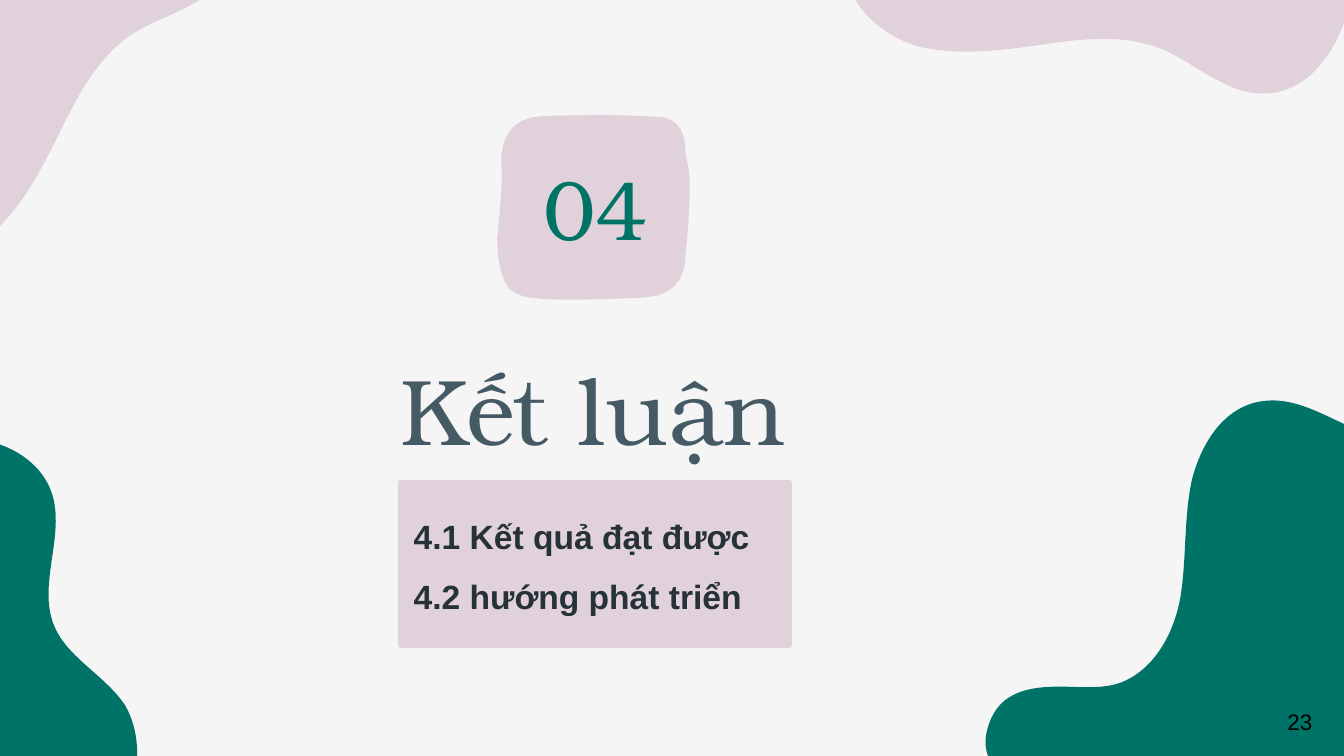
"""Build the closing section slide with organic blobs, a number badge and a short agenda."""
import lxml.etree
import pptx
import pptx.dml.color
import pptx.enum.text
import pptx.oxml.ns
import pptx.util

Cm = pptx.util.Cm
Pt = pptx.util.Pt
qn = pptx.oxml.ns.qn
PP_ALIGN = pptx.enum.text.PP_ALIGN
MSO_ANCHOR = pptx.enum.text.MSO_ANCHOR

COLORS = {
    "background": "F5F5F5",
    "pink": "E0D1DA",
    "green": "007367",
    "slate": "455A64",
    "ink": "263237",
    "black": "000000",
}
SERIF = "TeX Gyre Bonum"
SANS = "Arial"
INCH = 2.54

BLOB = [
    (9.47, 2.98),
    (9.12, 2.98, 8.94, 3.30, 8.87, 3.57),
    (8.81, 3.85, 8.83, 4.13, 8.79, 4.41),
    (8.75, 4.69, 8.60, 4.98, 8.34, 5.08),
    (8.20, 5.13, 8.04, 5.11, 7.89, 5.11),
    (7.76, 5.11, 7.62, 5.12, 7.51, 5.19),
    (7.41, 5.25, 7.36, 5.36, 7.34, 5.46),
    (7.32, 5.56, 7.35, 5.64, 7.40, 5.72),
    (12.70, 5.72),
    (12.74, 5.59, 12.75, 5.46, 12.72, 5.33),
    (12.64, 5.07, 12.40, 4.87, 12.37, 4.61),
    (12.33, 4.28, 12.64, 3.98, 12.62, 3.65),
    (12.60, 3.34, 12.30, 3.11, 12.00, 3.06),
    (11.94, 3.05, 11.87, 3.05, 11.81, 3.05),
    (11.57, 3.05, 11.33, 3.11, 11.09, 3.17),
    (10.90, 3.22, 10.69, 3.27, 10.49, 3.27),
    (10.39, 3.27, 10.29, 3.26, 10.19, 3.23),
    (9.94, 3.15, 9.72, 2.98, 9.47, 2.98),
]
BADGE = [
    (3.77, 2.12),
    (3.80, 2.18, 3.91, 2.22, 3.98, 2.22),
    (4.15, 2.24, 4.45, 2.23, 4.66, 2.22),
    (4.77, 2.22, 4.87, 2.21, 4.92, 2.19),
    (5.03, 2.15, 5.10, 2.05, 5.10, 1.90),
    (5.12, 1.73, 5.14, 1.45, 5.13, 1.30),
    (5.12, 1.20, 5.10, 1.18, 5.10, 1.10),
    (5.09, 0.95, 5.02, 0.87, 4.88, 0.87),
    (4.70, 0.86, 4.50, 0.85, 4.26, 0.86),
    (4.17, 0.86, 4.06, 0.86, 3.99, 0.87),
    (3.83, 0.89, 3.73, 1.00, 3.73, 1.21),
    (3.74, 1.40, 3.72, 1.55, 3.70, 1.78),
    (3.70, 1.90, 3.72, 2.04, 3.77, 2.12),
]


def rgb(name):
    """Return the named palette colour."""
    return pptx.dml.color.RGBColor.from_string(COLORS[name])


def paint(sp, color):
    """Give a shape a plain fill without line or shadow."""
    sp.shadow.inherit = False
    sp.fill.solid()
    sp.fill.fore_color.rgb = rgb(color)
    sp.line.fill.background()


def bend_sides(sp, segments):
    """Turn the straight sides that have control points into cubic curves."""
    sides = list(sp._element.iter(qn("a:lnTo")))
    for side, seg in zip(sides, segments[1:]):
        if len(seg) == 2:
            continue
        curve = lxml.etree.Element(qn("a:cubicBezTo"))
        for x, y in zip(seg[::2], seg[1::2]):
            lxml.etree.SubElement(curve, qn("a:pt"), x=str(Cm(x * INCH) - sp.left),
                                  y=str(Cm(y * INCH) - sp.top))
        side.getparent().replace(side, curve)


def add_outline(s, segments, color):
    """Add a filled freeform from line and curve segments given in inches."""
    corners = [(Cm(seg[-2] * INCH), Cm(seg[-1] * INCH)) for seg in segments]
    builder = s.shapes.build_freeform(*corners[0])
    builder.add_line_segments(corners[1:], close=True)
    sp = builder.convert_to_shape()
    bend_sides(sp, segments)
    paint(sp, color)
    return sp


def add_blob(s, left, top, rotation, color):
    """Add the corner blob at a place and angle."""
    sp = add_outline(s, BLOB, color)
    sp.left, sp.top = Cm(left), Cm(top)
    sp.rotation = rotation


def add_text(s, box, lines, font, size, color, align=PP_ALIGN.LEFT,
             anchor=MSO_ANCHOR.TOP, bold=False, spacing=1.0, inset=0.25):
    """Add a text box with one paragraph per line."""
    sp = s.shapes.add_textbox(*[Cm(v) for v in box])
    tf = sp.text_frame
    tf.word_wrap = True
    tf.vertical_anchor = anchor
    tf.margin_top = tf.margin_bottom = Cm(inset)
    tf.margin_left = tf.margin_right = Cm(0.25)
    for i, line in enumerate(lines):
        p = tf.add_paragraph() if i else tf.paragraphs[0]
        p.alignment = align
        p.line_spacing = spacing
        r = p.add_run()
        r.text = line
        r.font.name = font
        r.font.size = Pt(size)
        r.font.bold = bold
        r.font.color.rgb = rgb(color)
    return sp


def main():
    """Build and save the slide."""
    prs = pptx.Presentation()
    prs.slide_width, prs.slide_height = Cm(25.4), Cm(14.29)
    s = prs.slides.add_slide(prs.slide_layouts[6])
    s.background.fill.solid()
    s.background.fill.fore_color.rgb = rgb("background")

    add_blob(s, 15.85, -5.33, 186.1, "pink")
    add_blob(s, -11.71, 9.32, 344.3, "green")
    add_blob(s, -6.22, -5, 130.5, "pink")
    add_blob(s, 18.64, 7.57, 0, "green")
    add_outline(s, BADGE, "pink")

    centred = {"align": PP_ALIGN.CENTER, "anchor": MSO_ANCHOR.MIDDLE}
    number = add_text(s, (9.86, 2.74, 2.79, 2.34), ["04"], SERIF, 45, "green", **centred)
    paint(number, "pink")
    agenda = add_text(s, (7.57, 9.12, 7.34, 3.07), ["4.1 Kết quả đạt được", "4.2 hướng phát triển"],
                      SANS, 18, "ink", bold=True, spacing=1.5)
    paint(agenda, "pink")
    agenda.line.color.rgb = rgb("pink")
    agenda.line.width = Pt(3)
    add_text(s, (3.38, 6.35, 15.65, 2.74), ["Kết luận"], SERIF, 50, "slate", **centred)
    add_text(s, (24.08, 13.26, 1.32, 0.76), ["23"], SANS, 12, "black", inset=0.13)
    prs.save("out.pptx")


if __name__ == "__main__":
    main()
